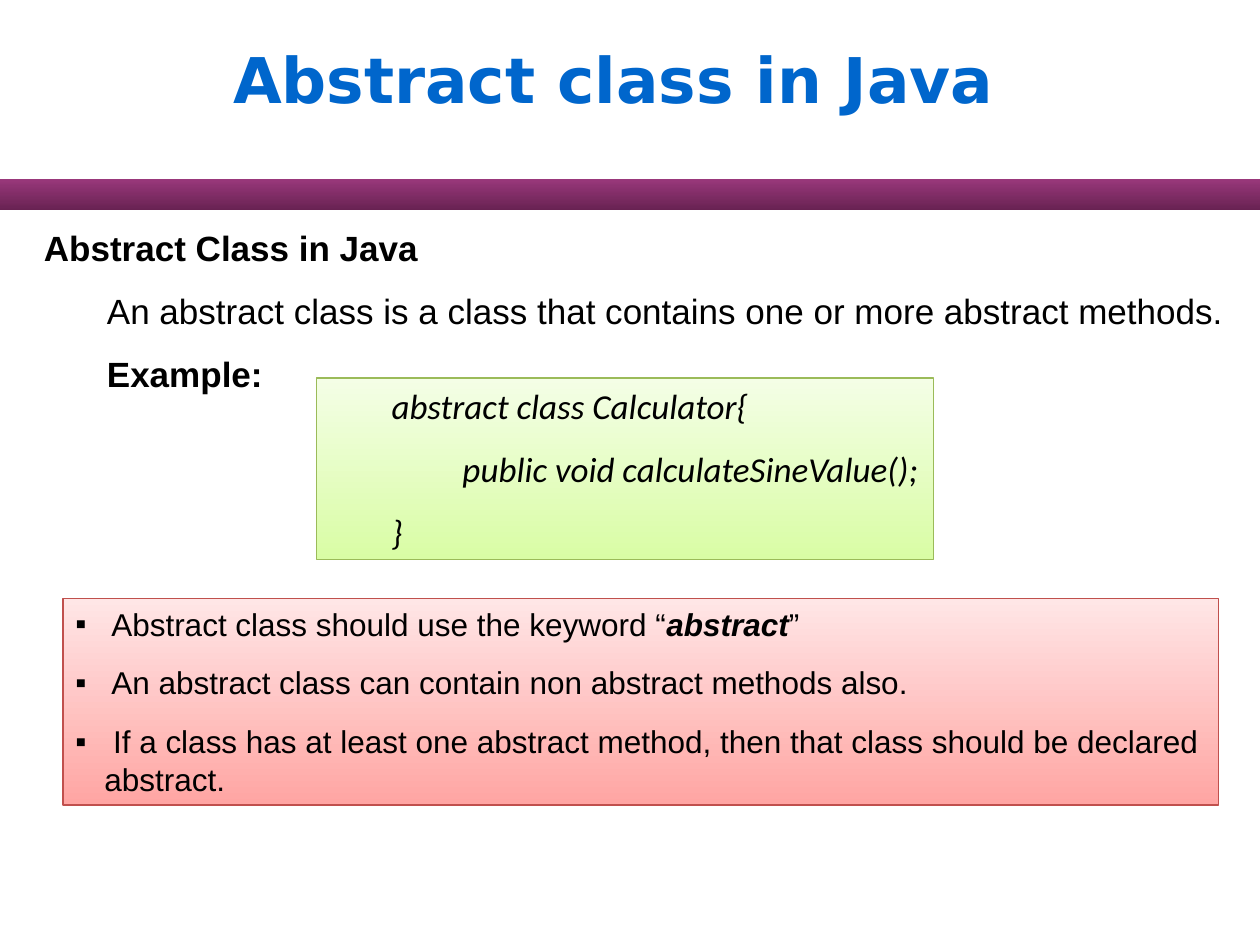
from lxml import etree
from pptx import Presentation
from pptx.dml.color import RGBColor
from pptx.enum.shapes import MSO_SHAPE
from pptx.enum.text import MSO_ANCHOR, PP_ALIGN
from pptx.oxml.ns import qn
from pptx.util import Inches, Pt

RECT = MSO_SHAPE.RECTANGLE
TOP, MIDDLE = MSO_ANCHOR.TOP, MSO_ANCHOR.MIDDLE
LEFT = PP_ALIGN.LEFT

BLACK = RGBColor(0x00, 0x00, 0x00)
BLUE = RGBColor(0x00, 0x66, 0xCC)
PLUM = RGBColor(0x99, 0x38, 0x7B)
DARK_PLUM = RGBColor(0x68, 0x22, 0x52)
PALE_LIME = RGBColor(0xF4, 0xFE, 0xE6)
LIME = RGBColor(0xD9, 0xFD, 0xA5)
GREEN = RGBColor(0x9B, 0xBB, 0x59)
PALE_PINK = RGBColor(0xFF, 0xE6, 0xE6)
PINK = RGBColor(0xFF, 0xA5, 0xA3)
RED = RGBColor(0xC0, 0x50, 0x4D)

CELL = Inches(0.25)
HANG = Inches(0.23)


def grid(*cells):
    """Turn columns and rows into slide lengths."""
    return [int(CELL * n) for n in cells]


def add_panel(slide, cells, upper, lower, edge=None):
    """Add a rectangle shaded from top to bottom."""
    panel = slide.shapes.add_shape(RECT, *grid(*cells))
    panel.shadow.inherit = False
    panel.fill.gradient()
    panel.fill.gradient_angle = 90
    for stop, color in zip(panel.fill.gradient_stops, (lower, upper)):
        stop.color.rgb = color
    if edge is None:
        panel.line.fill.background()
    else:
        panel.line.color.rgb = edge
        panel.line.width = Pt(0.75)
    return panel


def style(para, face, size, color=BLACK, bold=False, italic=False):
    """Format every run of a paragraph."""
    for run in para.runs:
        font = run.font
        font.name, font.size = face, Pt(size)
        font.bold, font.italic = bold, italic
        font.color.rgb = color


def write(shape, lines, wrap=True):
    """Fill a shape with left-aligned lines and return its paragraphs."""
    frame = shape.text_frame
    frame.text = "\n".join(lines)
    frame.word_wrap = wrap
    frame.vertical_anchor = TOP
    for i, para in enumerate(frame.paragraphs):
        para.alignment = LEFT
        para.space_before = Pt(12 if i else 0)
    return frame.paragraphs


def indent(para, level):
    """Move a paragraph in by half an inch a level."""
    para.level = level
    props = para._p.get_or_add_pPr()
    props.set("marL", str(Inches(0.5 * level)))
    props.set("indent", "0")


def add_bullet(para):
    """Give a paragraph a hanging square bullet."""
    props = para._p.get_or_add_pPr()
    props.set("marL", str(HANG))
    props.set("indent", str(-HANG))
    color = etree.SubElement(props, qn("a:buClr"))
    etree.SubElement(color, qn("a:srgbClr"), val=str(BLACK))
    etree.SubElement(props, qn("a:buFont"), typeface="Arial")
    etree.SubElement(props, qn("a:buChar"), char="▪")


def add_title(slide, text):
    """Place and format the title."""
    title = slide.shapes.title
    title.left, title.top, title.width, title.height = grid(7, 0, 33, 5)
    para = write(title, [text])[0]
    title.text_frame.vertical_anchor = MIDDLE
    style(para, "DejaVu Sans", 36, BLUE, bold=True)


def add_intro(slide):
    """Add the heading, the definition and the example label."""
    box = slide.shapes.add_textbox(*grid(1, 7, 38.32, 5.76))
    paras = write(box, [
        "Abstract Class in Java",
        "An abstract class is a class that contains one or more abstract methods.",
        "Example:",
    ])
    for para, level, bold in zip(paras, (0, 1, 1), (True, False, True)):
        indent(para, level)
        style(para, "Arial", 20, bold=bold)


def add_code(slide):
    """Add the green code panel."""
    panel = add_panel(slide, (10.04, 12, 19.6, 5.76), PALE_LIME, LIME, GREEN)
    lines = ["abstract class Calculator{", " public void calculateSineValue();", "}"]
    for para, level in zip(write(panel, lines, wrap=False), (1, 2, 1)):
        indent(para, level)
        style(para, "Calibri", 20, italic=True)


def add_rules(slide):
    """Add the red panel of bulleted rules."""
    panel = add_panel(slide, (2, 19, 36.68, 6.56), PALE_PINK, PINK, RED)
    paras = write(panel, [
        " Abstract class should use the keyword “",
        " An abstract class can contain non abstract methods also.",
        " If a class has at least one abstract method, then that class should be declared abstract.",
    ])
    for text in ("abstract", "”"):
        paras[0].add_run().text = text
    for para in paras:
        add_bullet(para)
        style(para, "Arial", 18)
    word = paras[0].runs[1].font
    word.bold = word.italic = True


def main():
    """Build and save the slide."""
    deck = Presentation()
    deck.slide_width, deck.slide_height = grid(40, 30)
    slide = deck.slides.add_slide(deck.slide_layouts[5])
    add_panel(slide, (0, 5.68, 40, 1), PLUM, DARK_PLUM)
    add_title(slide, "Abstract class in Java")
    add_intro(slide)
    add_code(slide)
    add_rules(slide)
    deck.save("out.pptx")


if __name__ == "__main__":
    main()
